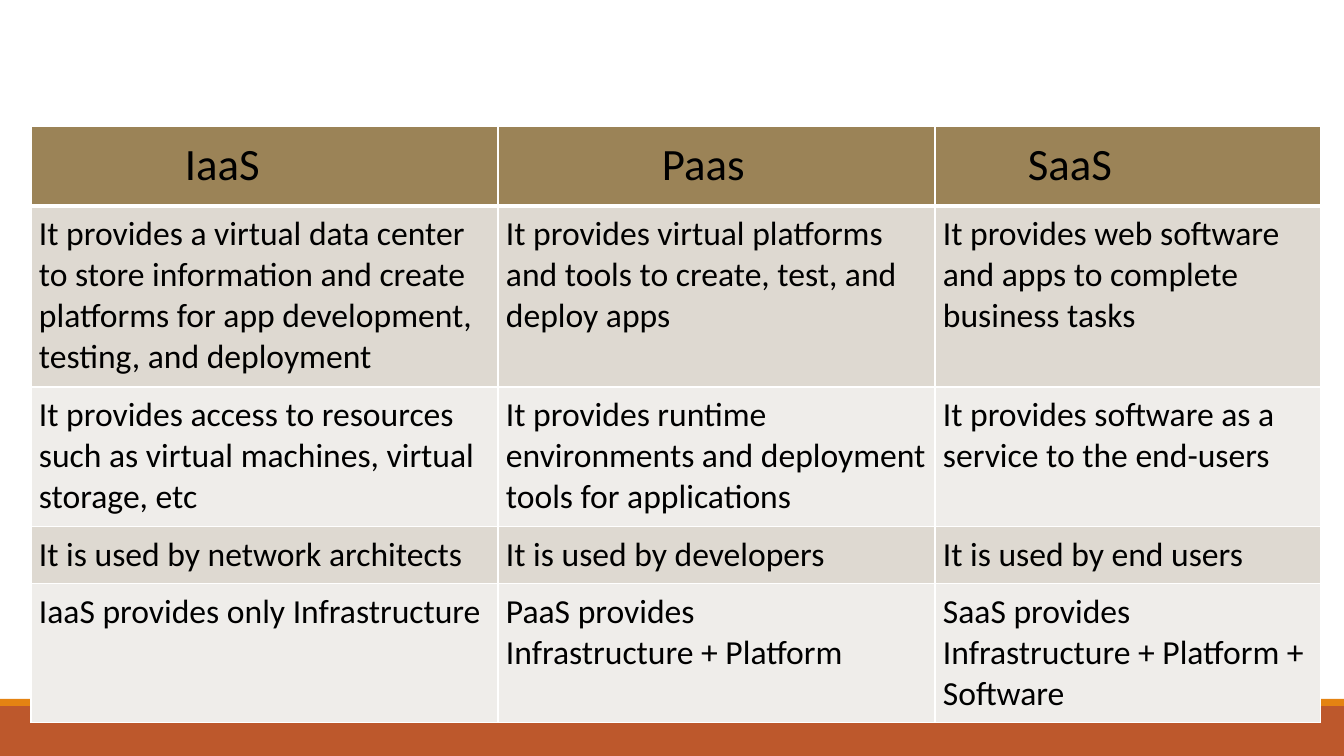
from lxml.etree import SubElement as Sub
from pptx import Presentation
from pptx.dml.color import RGBColor as Rgb
from pptx.enum.shapes import MSO_SHAPE as Kind
from pptx.oxml.ns import qn
from pptx.util import Pt

WIDTH, HEIGHT = 1344, 756
SCALE = 12192000 / WIDTH
FONT = "Calibri"
COLORS = {
    "text": "000000",
    "rule": "FFFFFF",
    "head": "9B8357",
    "dark": "DED9D1",
    "light": "EFEDEA",
    "base": "BD582C",
    "strip": "E48312",
}
COLS = [467, 437, 386]
ROWS = [80, 181, 140, 57, 139]
INDENTS = [154, 164, 93]
TEXTS = [
    ["IaaS", "Paas", "SaaS"],
    [
        "It provides a virtual data center to store information and create "
        "platforms for app development, testing, and deployment",
        "It provides virtual platforms and tools to create, test, and deploy apps",
        "It provides web software and apps to complete business tasks",
    ],
    [
        "It provides access to resources such as virtual machines, virtual storage, etc",
        "It provides runtime environments and deployment tools for applications",
        "It provides software as a service to the end-users",
    ],
    [
        "It is used by network architects",
        "It is used by developers",
        "It is used by end users",
    ],
    [
        "IaaS provides only Infrastructure",
        "PaaS provides\nInfrastructure + Platform",
        "SaaS provides\nInfrastructure + Platform + Software",
    ],
]


def px(count):
    return round(count * SCALE)


def paint(fill, color):
    fill.solid()
    fill.fore_color.rgb = Rgb.from_string(COLORS[color])


def add_band(slide, top, height, color):
    band = slide.shapes.add_shape(Kind.RECTANGLE, 0, px(top), px(WIDTH), px(height))
    band.shadow.inherit = False
    band.line.fill.background()
    paint(band.fill, color)


def add_rules(cell, top, bottom):
    """Draw the cell's borders; top and bottom are widths in points."""
    props = cell._tc.get_or_add_tcPr()
    for side, width in (("L", 1), ("R", 1), ("T", top), ("B", bottom)):
        line = Sub(props, qn(f"a:ln{side}"), w=str(Pt(width)))
        fill = Sub(line, qn("a:solidFill"))
        Sub(fill, qn("a:srgbClr"), val=COLORS["rule"])


def fill_cell(cell, text, size, color, margin, indent):
    cell.margin_top = cell.margin_bottom = cell.margin_right = px(margin)
    cell.margin_left = px(indent)
    paint(cell.fill, color)
    cell.text_frame.text = text
    for para in cell.text_frame.paragraphs:
        para.font.name = FONT
        para.font.size = Pt(size)
        para.font.bold = False
        para.font.color.rgb = Rgb.from_string(COLORS["text"])


def add_grid(slide, left, top):
    frame = slide.shapes.add_table(
        len(ROWS), len(COLS), px(left), px(top), px(sum(COLS)), px(sum(ROWS)))
    table = frame.table
    table.first_row = table.horz_banding = False
    for column, width in zip(table.columns, COLS):
        column.width = px(width)
    for row, height in zip(table.rows, ROWS):
        row.height = px(height)
    for i, texts in enumerate(TEXTS):
        for j, text in enumerate(texts):
            cell = table.cell(i, j)
            add_rules(cell, 3 if i == 1 else 1, 3 if i == 0 else 1)
            if i == 0:
                fill_cell(cell, text, 32, "head", 12, INDENTS[j])
            else:
                fill_cell(cell, text, 24, "dark" if i % 2 else "light", 8, 8)


def main():
    deck = Presentation()
    deck.slide_width, deck.slide_height = px(WIDTH), px(HEIGHT)
    slide = deck.slides.add_slide(deck.slide_layouts[6])
    add_band(slide, 706, 50, "base")
    add_band(slide, 699, 7, "strip")
    add_grid(slide, 31, 126)
    deck.save("out.pptx")


if __name__ == "__main__":
    main()
